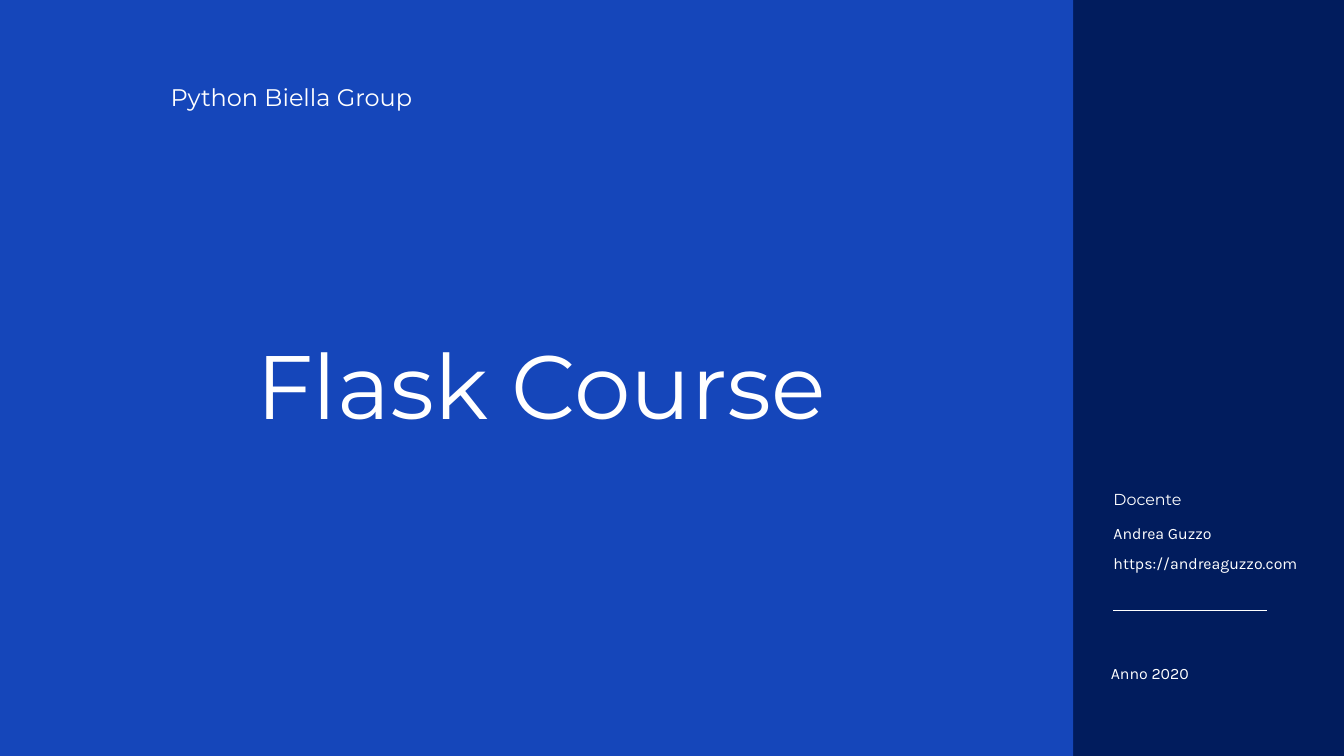
from lxml.etree import SubElement
from pptx import Presentation
from pptx.dml.color import RGBColor
from pptx.enum.shapes import MSO_CONNECTOR, MSO_SHAPE
from pptx.enum.text import MSO_ANCHOR, MSO_AUTO_SIZE, PP_ALIGN
from pptx.oxml.ns import qn
from pptx.util import Inches, Pt

NAVY = RGBColor(0x01, 0x1C, 0x5D)
BLUE = RGBColor(0x15, 0x46, 0xBA)
WHITE = RGBColor(0xFF, 0xFF, 0xFF)
HEADING_FONT = "Montserrat"
BODY_FONT = "Karla"
SIDEBAR_LEFT = 16.57


def write_line(box, text, font_name, size, line_height):
    """Fill a text shape with one white, left-aligned line without insets."""
    frame = box.text_frame
    frame.text = text
    frame.word_wrap = True
    frame.auto_size = MSO_AUTO_SIZE.NONE
    frame.vertical_anchor = MSO_ANCHOR.TOP
    frame.margin_left = frame.margin_right = 0
    frame.margin_top = frame.margin_bottom = 0
    paragraph = frame.paragraphs[0]
    paragraph.alignment = PP_ALIGN.LEFT
    paragraph.line_spacing = Pt(line_height)
    paragraph.space_before = Pt(0)
    paragraph.font.name = font_name
    paragraph.font.size = Pt(size)
    paragraph.font.color.rgb = WHITE


presentation = Presentation()
presentation.slide_width = Inches(20)
presentation.slide_height = Inches(11.25)
slide = presentation.slides.add_slide(presentation.slide_layouts[5])
slide.background.fill.solid()
slide.background.fill.fore_color.rgb = NAVY

# Main panel, behind the title; the background shows as the sidebar
panel = slide.shapes.add_shape(
    MSO_SHAPE.RECTANGLE, 0, 0, Inches(15.97), presentation.slide_height
)
panel.shadow.inherit = False
panel.fill.solid()
panel.fill.fore_color.rgb = BLUE
panel.line.fill.background()
slide.shapes.title._element.addprevious(panel._element)

# Course title
course_title = slide.shapes.title
course_title.left, course_title.top = Inches(3.81), Inches(5.17)
course_title.width, course_title.height = Inches(9.84), Inches(1.41)
write_line(course_title, "Flask Course", HEADING_FONT, 96.4, 96.4)

# Organiser and sidebar details
details = [
    ("Python Biella Group", 2.54, 1.3, 3.77, 0.37, HEADING_FONT, 25.7, 25.7),
    ("Docente", SIDEBAR_LEFT, 7.33, 1.26, 0.25, HEADING_FONT, 17, 17),
    ("Andrea Guzzo", SIDEBAR_LEFT, 7.84, 2.76, 0.25, BODY_FONT, 17, 17),
    ("https://andreaguzzo.com", SIDEBAR_LEFT, 8.29, 2.76, 0.25, BODY_FONT, 17, 17),
    ("Anno 2020", 16.53, 9.83, 2.28, 0.29, BODY_FONT, 17, 23.8),
]
for text, left, top, width, height, font_name, size, line_height in details:
    detail = slide.shapes.add_textbox(
        Inches(left), Inches(top), Inches(width), Inches(height)
    )
    write_line(detail, text, font_name, size, line_height)

# Divider between teacher and year
divider = slide.shapes.add_connector(
    MSO_CONNECTOR.STRAIGHT,
    Inches(SIDEBAR_LEFT), Inches(9.09),
    Inches(SIDEBAR_LEFT + 2.28), Inches(9.09),
)
divider.line.color.rgb = WHITE
divider.line.width = Pt(0.75)
SubElement(divider._element.spPr, qn("a:effectLst"))

presentation.save("out.pptx")
